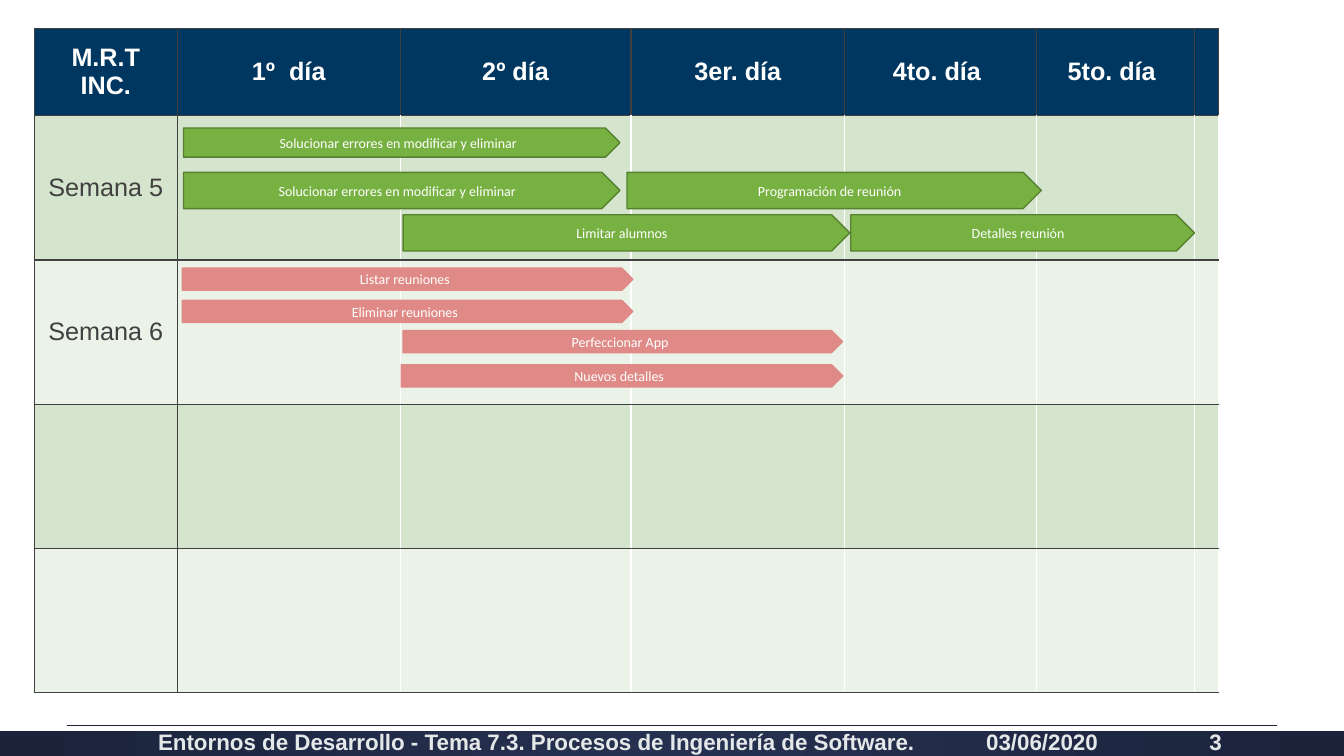
from dataclasses import dataclass
from itertools import accumulate

from lxml.etree import SubElement
from pptx import Presentation
from pptx.dml.color import RGBColor
from pptx.enum.shapes import MSO_CONNECTOR as Connector, MSO_SHAPE as Preset
from pptx.enum.text import MSO_ANCHOR as Anchor, PP_ALIGN as Align
from pptx.oxml.ns import qn
from pptx.util import Pt


@dataclass(frozen=True)
class Theme:
    navy: str = "003760"
    white: str = "FFFFFF"
    ink: str = "404040"
    pale: str = "EBF2E8"
    sage: str = "D5E4CD"
    green: str = "77B142"
    green_edge: str = "568130"
    rose: str = "DF8A87"
    footer_text: str = "E5E8E8"
    footer_center: str = "263050"
    footer_edge: str = "1C243C"
    heading_font: str = "Arial"
    bar_font: str = "Calibri"
    table_size: int = 18
    footer_size: int = 16
    bar_size: int = 10


THEME = Theme()
SLIDE = (960, 540)
COLUMNS = [102.24, 159.12, 164.88, 152.64, 136.8, 113.04, 16.56]
HEADER_HEIGHT, WEEK_HEIGHT, WEEK_COUNT = 62.64, 102.96, 4
HEADINGS = ["M.R.T INC.", "1º  día", "2º día", "3er. día", "4to. día ", "5to. día ", ""]

# Bars of each week: text, left from the table, top from the row, width, height
WEEKS = [
    ("Semana 5", THEME.green, THEME.green_edge, [
        ("Solucionar errores en modificar y eliminar", 106.6, 8.6, 311.8, 20.9),
        ("Solucionar errores en modificar y eliminar", 106.6, 40.3, 311.8, 25.9),
        ("Limitar alumnos", 263.5, 70.6, 319, 25.9),
        ("Programación de reunión", 423.4, 40.3, 295.9, 25.9),
        ("Detalles reunión", 583.2, 70.6, 245.5, 25.9),
    ]),
    ("Semana 6", THEME.rose, THEME.rose, [
        ("Listar reuniones", 105.8, 5.8, 321.8, 15.8),
        ("Eliminar reuniones", 105.8, 28.8, 321.8, 15.8),
        ("Perfeccionar App", 263.5, 50.4, 313.9, 15.8),
        ("Nuevos detalles", 262.1, 74.9, 315.4, 15.8),
    ]),
]


def rgb(value):
    return RGBColor.from_string(value)


def write(frame, text, *, size, font, color, bold=False, align=Align.CENTER):
    para = frame.paragraphs[0]
    para.alignment = align
    span = para.add_run()
    span.text = text
    span.font.size = Pt(size)
    span.font.name = font
    span.font.bold = bold
    span.font.color.rgb = rgb(color)


def add_preset(page, preset, box, fill=None, edge=None):
    shape = page.shapes.add_shape(preset, *map(Pt, box))
    shape.shadow.inherit = False
    if fill:
        shape.fill.solid()
        shape.fill.fore_color.rgb = rgb(fill)
    if edge:
        shape.line.color.rgb = rgb(edge)
        shape.line.width = Pt(1)
    else:
        shape.line.fill.background()
    return shape


def style_cell(cell, fill, edges):
    """Give a cell its borders (left, right, top, bottom) and its fill."""
    properties = cell._tc.get_or_add_tcPr()
    for tag, color in zip(("a:lnL", "a:lnR", "a:lnT", "a:lnB"), edges):
        line = SubElement(properties, qn(tag), w=str(Pt(1)))
        solid = SubElement(line, qn("a:solidFill"))
        SubElement(solid, qn("a:srgbClr"), val=color)
    cell.fill.solid()
    cell.fill.fore_color.rgb = rgb(fill)
    cell.vertical_anchor = Anchor.MIDDLE


def add_footer(page, box):
    left, top, width, height = box

    # Band with a white strip and a thin rule above it
    band = add_preset(page, Preset.RECTANGLE, box)
    band.fill.gradient()
    for stop, color in zip(band.fill.gradient_stops, (THEME.footer_center, THEME.footer_edge)):
        stop.color.rgb = rgb(color)
    gradient = band._element.spPr.find(qn("a:gradFill"))
    gradient.remove(gradient.find(qn("a:lin")))
    circle = SubElement(gradient, qn("a:path"), path="circle")
    SubElement(circle, qn("a:fillToRect"), l="50000", t="50000", r="50000", b="50000")
    add_preset(page, Preset.RECTANGLE, (left, top, width, 3.6), THEME.white)
    rule = page.shapes.add_connector(
        Connector.STRAIGHT, Pt(left + 48), Pt(top - 0.4), Pt(left + width - 48), Pt(top - 0.4))
    rule.line.color.rgb = rgb(THEME.footer_edge)
    rule.line.width = Pt(0.75)
    SubElement(rule._element.spPr, qn("a:effectLst"))

    # Subject, date and page number
    for text, offset, span_width, align in (
        ("Entornos de Desarrollo - Tema 7.3. Procesos de Ingeniería de Software.",
         105.84, 563.76, Align.LEFT),
        ("03/06/2020", 681.84, 109.44, Align.RIGHT),
        ("3", 804.24, 75.6, Align.RIGHT),
    ):
        label = page.shapes.add_textbox(Pt(left + offset), Pt(top + 2.16), Pt(span_width), Pt(18.9))
        label.text_frame.word_wrap = True
        label.text_frame.vertical_anchor = Anchor.MIDDLE
        write(label.text_frame, text, size=THEME.footer_size, font=THEME.heading_font,
              color=THEME.footer_text, bold=True, align=align)


def add_calendar(page, box):
    heights = [HEADER_HEIGHT] + [WEEK_HEIGHT] * WEEK_COUNT
    table = page.shapes.add_table(len(heights), len(COLUMNS), *map(Pt, box)).table
    table.first_row = table.horz_banding = False
    for column, width in zip(table.columns, COLUMNS):
        column.width = Pt(width)
    for row, height in zip(table.rows, heights):
        row.height = Pt(height)

    # Header row
    for index, heading in enumerate(HEADINGS):
        cell = table.cell(0, index)
        style_cell(cell, THEME.navy, [THEME.ink] * 4)
        if heading:
            write(cell.text_frame, heading, size=THEME.table_size, font=THEME.heading_font,
                  color=THEME.white, bold=True)

    # Week rows: dark sides only around the first column
    for row in range(1, len(heights)):
        for index in range(len(COLUMNS)):
            side_left = THEME.ink if index <= 1 else THEME.white
            side_right = THEME.ink if index == 0 else THEME.white
            style_cell(table.cell(row, index), THEME.sage if row % 2 else THEME.pale,
                       (side_left, side_right, THEME.ink, THEME.ink))
    for row, (name, *_) in enumerate(WEEKS, 1):
        write(table.cell(row, 0).text_frame, name, size=THEME.table_size,
              font=THEME.heading_font, color=THEME.ink)

    # Task bars
    for row_top, (_, fill, edge, bars) in zip(accumulate(heights), WEEKS):
        for text, x, y, width, height in bars:
            bar = add_preset(page, Preset.PENTAGON,
                             (box[0] + x, box[1] + row_top + y, width, height), fill, edge)
            bar.text_frame.word_wrap = True
            bar.text_frame.vertical_anchor = Anchor.MIDDLE
            write(bar.text_frame, text, size=THEME.bar_size, font=THEME.bar_font,
                  color=THEME.white)


def main():
    deck = Presentation()
    deck.slide_width, deck.slide_height = map(Pt, SLIDE)
    page = deck.slides.add_slide(deck.slide_layouts[6])
    add_footer(page, (0, 518.4, SLIDE[0], 21.6))
    add_calendar(page, (24.48, 20.16, sum(COLUMNS), HEADER_HEIGHT + WEEK_COUNT * WEEK_HEIGHT))
    deck.save("out.pptx")


if __name__ == "__main__":
    main()
